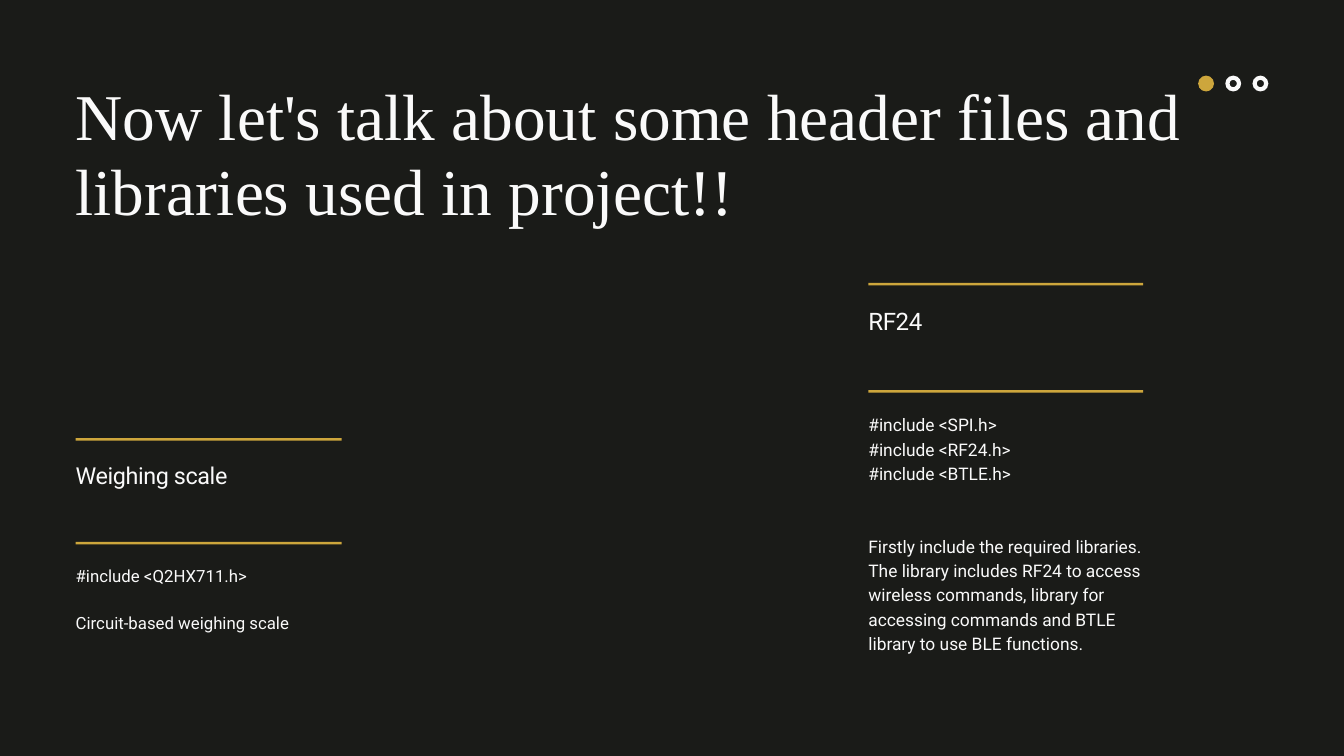
from dataclasses import dataclass

from lxml import etree
from pptx import Presentation
from pptx import util as u
from pptx.dml.color import RGBColor
from pptx.enum import shapes, text
from pptx.oxml import ns

WIDE, HIGH = u.Inches(20), u.Inches(11.25)
COL, ROW = WIDE / 100, HIGH / 100
HUES = {"back": "1A1B18", "pale": "FAFAFA", "gold": "CDA63C"}
BASE = 19.8


@dataclass
class Line:
    words: str
    gap: int = 0


@dataclass
class Card:
    left: float
    top: float
    width: float
    deep: float
    head: str
    lines: list[Line]


@dataclass
class Dot:
    left: float
    kind: shapes.MSO_SHAPE
    hue: str


def hue(name: str) -> RGBColor:
    return RGBColor.from_string(HUES[name])


def place(item, left: float, top: float, width: float, height: float) -> None:
    spots = {"left": left * COL, "top": top * ROW,
             "width": width * COL, "height": height * ROW}
    for key, value in spots.items():
        setattr(item, key, u.Emu(round(value)))


def draw(slide, kind, tint: str, left: float, top: float, width: float, height: float):
    shape = slide.shapes.add_shape(kind, 0, 0, 0, 0)
    place(shape, left, top, width, height)
    shape.shadow.inherit = False
    shape.fill.solid()
    shape.fill.fore_color.rgb = hue(tint)
    shape.line.fill.background()
    return shape


def write(holder, lines: list[Line], size: float, pitch: float,
          face: str, track: int = 0) -> None:
    frame = holder.text_frame
    look = {"margin_left": 0, "margin_top": 0, "margin_right": 0, "margin_bottom": 0,
            "word_wrap": True, "auto_size": text.MSO_AUTO_SIZE.NONE,
            "vertical_anchor": text.MSO_ANCHOR.TOP}
    for key, value in look.items():
        setattr(frame, key, value)
    for spot, line in enumerate(lines):
        para = frame.add_paragraph() if spot else frame.paragraphs[0]
        props = para._p.get_or_add_pPr()
        for key in ("marL", "indent"):
            props.set(key, "0")
        etree.SubElement(props, ns.qn("a:buNone"))
        form = {"alignment": text.PP_ALIGN.LEFT, "line_spacing": u.Pt(pitch),
                "space_before": u.Pt(line.gap * pitch), "space_after": u.Pt(0)}
        for key, value in form.items():
            setattr(para, key, value)
        run = para.add_run()
        run.text = line.words
        for key, value in {"name": face, "size": u.Pt(size), "bold": False}.items():
            setattr(run.font, key, value)
        run.font.color.rgb = hue("pale")
        if track:
            run._r.get_or_add_rPr().set("spc", str(track))


def fill(slide, card: Card, head, body) -> None:
    scale = card.width / BASE
    for drop in (0, 13.72):
        draw(slide, shapes.MSO_SHAPE.RECTANGLE, "gold",
             card.left, card.top + drop * scale, card.width, 0.34)
    place(head, card.left, card.top + 2.76 * scale, card.width, 4.3 * scale)
    write(head, [Line(card.head)], round(25 * scale, 1), 32.5 * scale, "Roboto", -40)
    place(body, card.left, card.top + 16.4 * scale, card.width, card.deep)
    write(body, card.lines, round(18 * scale, 1), 25.2 * scale, "Roboto")


CARDS = [
    Card(5.63, 57.96, BASE, 9.42, "Weighing scale", [
        Line("#include <Q2HX711.h>"),
        Line("Circuit-based weighing scale", 1)]),
    Card(64.61, 37.42, 20.45, 35.47, "RF24", [
        Line("#include <SPI.h>"),
        Line("#include <RF24.h>"),
        Line("#include <BTLE.h>"),
        Line("Firstly include the required libraries. The library includes RF24 "
             "to access wireless commands, library for accessing commands and "
             "BTLE library to use BLE functions.", 2)]),
]
DOTS = [
    Dot(89.15, shapes.MSO_SHAPE.OVAL, "gold"),
    Dot(91.17, shapes.MSO_SHAPE.DONUT, "pale"),
    Dot(93.19, shapes.MSO_SHAPE.DONUT, "pale"),
]


def main() -> None:
    deck = Presentation()
    deck.slide_width, deck.slide_height = WIDE, HIGH
    slide = deck.slides.add_slide(deck.slide_layouts.get_by_name("Comparison"))
    slide.background.fill.solid()
    slide.background.fill.fore_color.rgb = hue("back")

    title, *slots = slide.placeholders
    place(title, 5.63, 10.4, 83.55, 19.9)
    write(title, [Line("Now let's talk about some header files and libraries "
                       "used in project!!")], 70, 80.5, "Times New Roman")

    for card, head, body in zip(CARDS, slots[::2], slots[1::2]):
        fill(slide, card, head, body)

    for dot in DOTS:
        mark = draw(slide, dot.kind, dot.hue, dot.left, 10, 1.18, 2.1)
        if dot.kind == shapes.MSO_SHAPE.DONUT:
            mark.adjustments[0] = 0.27

    deck.save("out.pptx")


if __name__ == "__main__":
    main()
